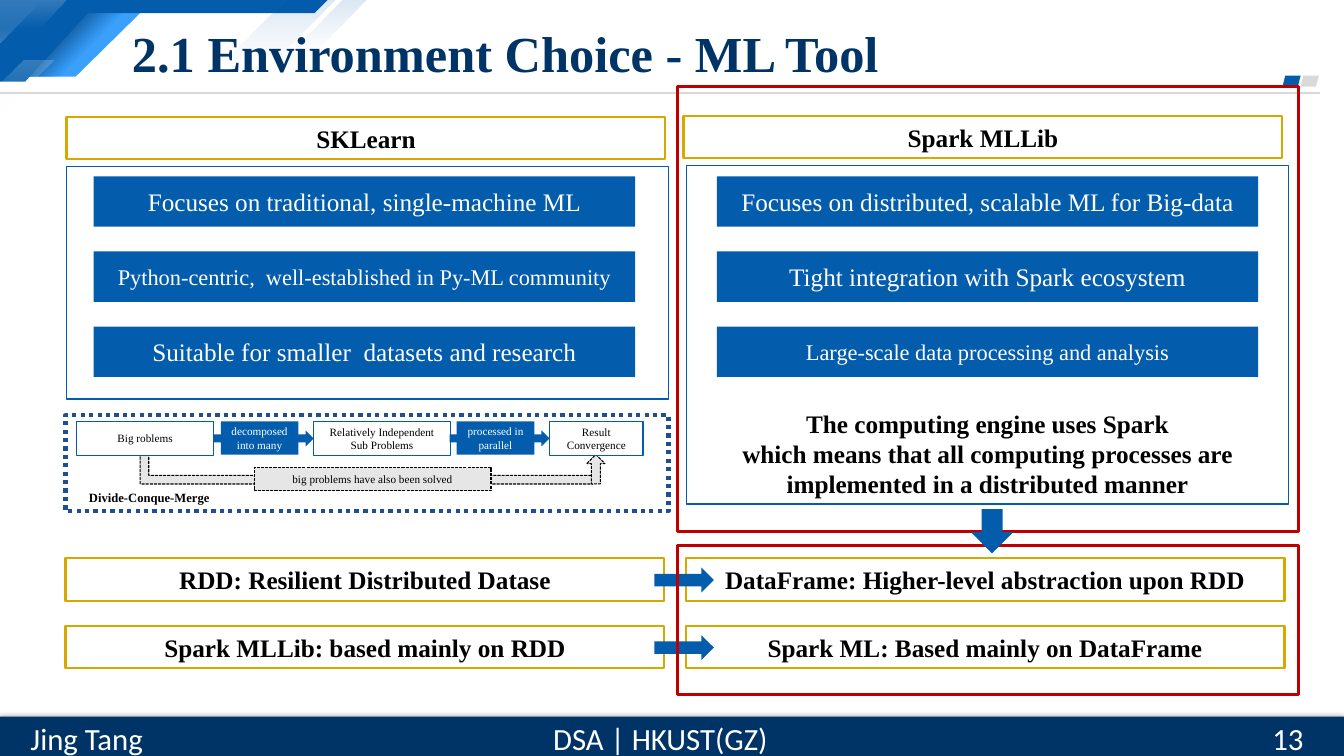
"""Builds a slide that compares two machine learning tools, on a grid of 0.1 inch cells."""
from lxml.etree import SubElement
from pptx import Presentation
from pptx.dml.color import RGBColor
from pptx.enum.dml import MSO_LINE
from pptx.enum.shapes import MSO_CONNECTOR, MSO_SHAPE
from pptx.enum.text import MSO_ANCHOR, PP_ALIGN
from pptx.oxml.ns import qn
from pptx.util import Inches, Pt

COLORS = {
    "white": "FFFFFF", "black": "000000", "navy": "003366", "blue": "035CAC",
    "sky": "39A0FC", "deep": "024581", "gold": "D7A800", "red": "C00000",
    "silver": "D9D9D9", "ash": "E7E6E6", "dots": "1D4F92",
}
SERIF, SANS = "Times New Roman", "Calibri"
COLUMNS, ROWS = 133.3, 75
LEFT, RIGHT, HALF = 6.5, 68, 59.4
BAR_TOP, BAR_PITCH = 17.5, 7.45
STEP_TOP, STEP_HEIGHT = 41.8, 3.4

SKLEARN = [
    ("Focuses on traditional, single-machine ML", 18),
    ("Python-centric,  well-established in Py-ML community", 16),
    ("Suitable for smaller  datasets and research", 18),
]
SPARK = [
    ("Focuses on distributed, scalable ML for Big-data", 18),
    ("Tight integration with Spark ecosystem", 18),
    ("Large-scale data processing and analysis", 16),
]
ENGINE = ("The computing engine uses Spark\n"
          "which means that all computing processes are implemented in a distributed manner")
EVOLUTION = [
    (55.4, "RDD: Resilient Distributed Datase", "DataFrame: Higher-level abstraction upon RDD"),
    (62.1, "Spark MLLib: based mainly on RDD", "Spark ML: Based mainly on DataFrame"),
]
PROBLEM_STEPS = [
    (7.6, 13.6, "Big roblems"),
    (31.1, 13.6, "Relatively Independent\nSub Problems"),
    (54.5, 9.3, "Result Convergence"),
]
ACTIONS = [(21.2, "decomposed\ninto many"), (44.6, "processed in parallel")]


def cells(*counts):
    return [Inches(count / 10) for count in counts]


def rgb(color):
    return RGBColor.from_string(COLORS[color])


def write(shape, text, size, color="black", bold=False, font=SERIF,
          align=PP_ALIGN.CENTER, anchor=MSO_ANCHOR.MIDDLE):
    frame = shape.text_frame
    frame.text = text
    frame.word_wrap = True
    frame.vertical_anchor = anchor
    for paragraph in frame.paragraphs:
        paragraph.alignment = align
        for run in paragraph.runs:
            run.font.name, run.font.size, run.font.bold = font, Pt(size), bold
            run.font.color.rgb = rgb(color)


def paint(shape, fill=None, line=None, weight=1, dash=None):
    shape.shadow.inherit = False
    if fill:
        shape.fill.solid()
        shape.fill.fore_color.rgb = rgb(fill)
    else:
        shape.fill.background()
    if line:
        shape.line.color.rgb = rgb(line)
        shape.line.width = Pt(weight)
        if dash:
            shape.line.dash_style = dash
    else:
        shape.line.fill.background()


def fade(shape, color, opacity, angle=90, start=0, end=100):
    shape.fill.gradient()
    shape.fill.gradient_angle = 360 - angle
    for stop, position in zip(shape.fill.gradient_stops, (start, end)):
        stop.color.rgb = rgb(color)
        stop.position = position / 100
    tints = shape.element.spPr.iter(qn("a:srgbClr"))
    for tint, percent in zip(tints, (opacity, 0)):
        SubElement(tint, qn("a:alpha"), val=str(percent * 1000))


def block(slide, box, kind=MSO_SHAPE.RECTANGLE, **style):
    shape = slide.shapes.add_shape(kind, *cells(*box))
    paint(shape, **style)
    return shape


def caption(slide, box, text, size, **style):
    write(slide.shapes.add_textbox(*cells(*box)), text, size, **style)


def outline(slide, points, fill=None):
    corners = [cells(*point) for point in points]
    builder = slide.shapes.build_freeform(*corners[0])
    builder.add_line_segments(corners[1:])
    shape = builder.convert_to_shape()
    paint(shape, fill)
    return shape


def gold_box(slide, left, top, text):
    write(block(slide, (left, top, HALF, 4.2), fill="white", line="gold", weight=1.5),
          text, 18, bold=True)


def blue_bars(slide, left, entries):
    for index, (text, size) in enumerate(entries):
        bar = block(slide, (left, BAR_TOP + index * BAR_PITCH, 53.7, 5), fill="blue")
        write(bar, text, size, "white")


def header(slide):
    ribbon = [(8.4, 0.7), (14.5, 0.7), (7.5, 7.6), (1.6, 7.6)]
    outline(slide, ribbon, "sky")
    fade(outline(slide, ribbon), "deep", 100, 45, 29, 57)
    outline(slide, [(0, 0), (32.5, 0), (31.2, 1.3), (8.7, 1.3), (2.5, 8.1), (0, 8.1)], "blue")
    corner = block(slide, (0, 0, 4.2, 4.2), MSO_SHAPE.RIGHT_TRIANGLE)
    corner.element.spPr.find(qn("a:xfrm")).set("flipV", "1")
    fade(corner, "white", 20)
    for color, opacity, points in (
            ("white", 20, [(0, 0), (6.6, 0), (3.9, 2.8), (0, 2.8)]),
            ("blue", 15, [(28.4, 0), (33.3, 0), (27.2, 6.1), (22.2, 6.1)]),
            ("blue", 15, [(34, 0), (36.4, 0), (31.5, 4.9), (29.1, 4.9)]),
            ("white", 20, [(2.3, 6), (5.3, 6), (-0.7, 12), (-3.7, 12)])):
        fade(outline(slide, points), color, opacity)
    rule = slide.shapes.add_connector(MSO_CONNECTOR.STRAIGHT, *cells(0, 9.2, 130.9, 9.2))
    rule.line.color.rgb = rgb("silver")
    rule.line.width = Pt(1.5)
    SubElement(rule.element.spPr, qn("a:effectLst"))
    for left, color in ((129, "silver"), (127.2, "blue")):
        block(slide, (left, 7.5, 1.8, 1.1), MSO_SHAPE.PARALLELOGRAM, fill=color)
    caption(slide, (12.1, 1.7, 102.1, 6.9), "2.1 Environment Choice - ML Tool", 36,
            color="navy", bold=True, align=PP_ALIGN.LEFT)


def footer(slide):
    band = block(slide, (0, 71.1, COLUMNS, ROWS - 71.1), fill="navy")
    effects = band.element.spPr.find(qn("a:effectLst"))
    shade = SubElement(effects, qn("a:outerShdw"), blurRad=str(Pt(4.5)), dist=str(Pt(1.5)),
                       dir="5400000", rotWithShape="0")
    tint = SubElement(shade, qn("a:srgbClr"), val=COLORS["black"])
    SubElement(tint, qn("a:alpha"), val="63000")
    for left, width, text, align in (
            (53.6, 23.8, "DSA | HKUST(GZ)", PP_ALIGN.CENTER),
            (1.6, 14, "Jing Tang", PP_ALIGN.CENTER),
            (125.2, 8.1, "13", PP_ALIGN.LEFT)):
        caption(slide, (left, 70.9, width, 4.6), text, 22, color="white", font=SANS, align=align)


def comparison(slide):
    gold_box(slide, 6.6, 11.6, "SKLearn")
    gold_box(slide, 67.8, 11.5, "Spark MLLib")
    block(slide, (6.6, 16.5, 59.7, 23.1), line="blue")
    engine = block(slide, (68.1, 16.4, 59.7, 33.6), line="blue")
    write(engine, ENGINE, 18, bold=True, anchor=MSO_ANCHOR.BOTTOM)
    blue_bars(slide, 9.3, SKLEARN)
    blue_bars(slide, 71.1, SPARK)


def divide_and_merge(slide):
    dashed = {"fill": "ash", "line": "black", "weight": 0.75, "dash": MSO_LINE.SQUARE_DOT}
    detour = block(slide, (35, 23.4, 3.4, 45.6), MSO_SHAPE.BENT_UP_ARROW, **dashed)
    detour.rotation = 90
    for index, share in enumerate((0.25, 0.09, 0.2)):
        detour.adjustments[index] = share
    block(slide, (58.2, 45.1, 1.8, 2.9), MSO_SHAPE.UP_ARROW, **dashed)
    for left, width, text in PROBLEM_STEPS:
        step = block(slide, (left, STEP_TOP, width, STEP_HEIGHT), fill="white", line="blue")
        write(step, text, 8)
    for left, text in ACTIONS:
        block(slide, (left, 42.7, 9.9, 1.6), MSO_SHAPE.RIGHT_ARROW, fill="blue")
        action = block(slide, (left + 0.7, STEP_TOP, 7.7, 3.3), fill="blue")
        write(action, text, 8, "white")
    solved = block(slide, (25.2, 46.4, 23.5, 2.3), **dashed)
    write(solved, "big problems have also been solved", 8)
    block(slide, (LEFT, 41.2, 59.8, 9.5), line="dots", weight=3, dash=MSO_LINE.ROUND_DOT)
    caption(slide, (LEFT, 48.1, 16.6, 2.5), "Divide-Conque-Merge", 9, bold=True)


def evolution(slide):
    for top, before, after in EVOLUTION:
        gold_box(slide, LEFT, top, before)
        gold_box(slide, RIGHT, top, after)
        block(slide, (64.9, top + 0.9, 5.9, 2.5), MSO_SHAPE.RIGHT_ARROW, fill="blue")
    for top, height in ((8.6, 44.1), (54.1, 14.8)):
        block(slide, (67.2, top, 61.6, height), line="red", weight=2.25)
    block(slide, (96.3, 50.5, 4.2, 4.4), MSO_SHAPE.DOWN_ARROW, fill="blue")


def main():
    deck = Presentation()
    deck.slide_width, deck.slide_height = cells(COLUMNS, ROWS)
    slide = deck.slides.add_slide(deck.slide_layouts[6])
    for section in (header, footer, comparison, divide_and_merge, evolution):
        section(slide)
    deck.save("out.pptx")


if __name__ == "__main__":
    main()
